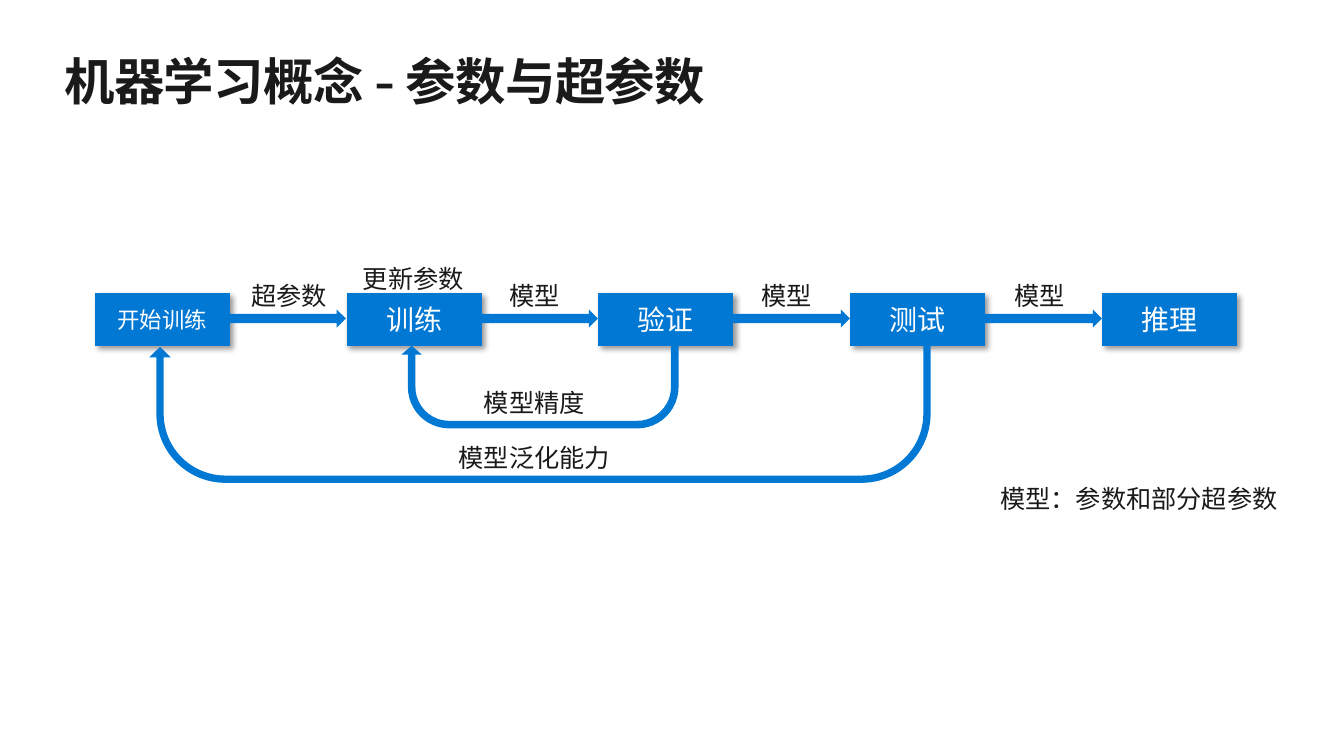
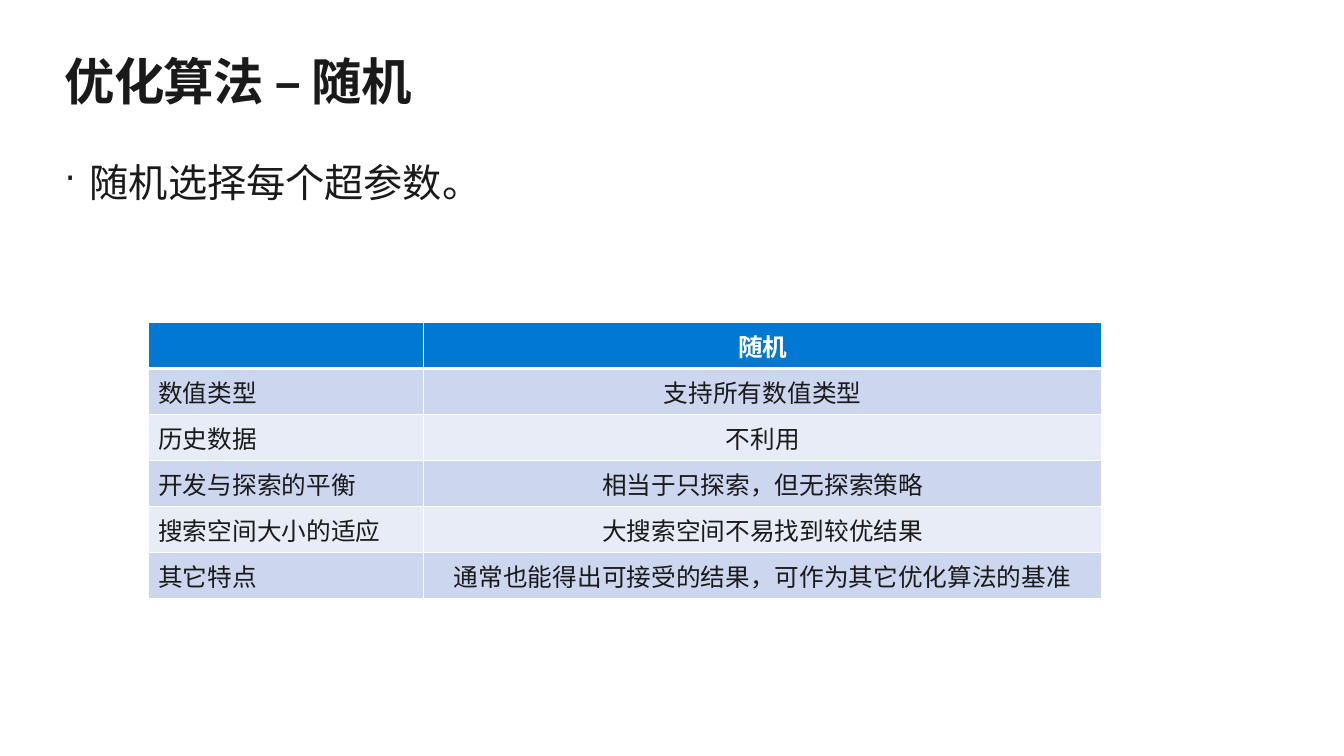
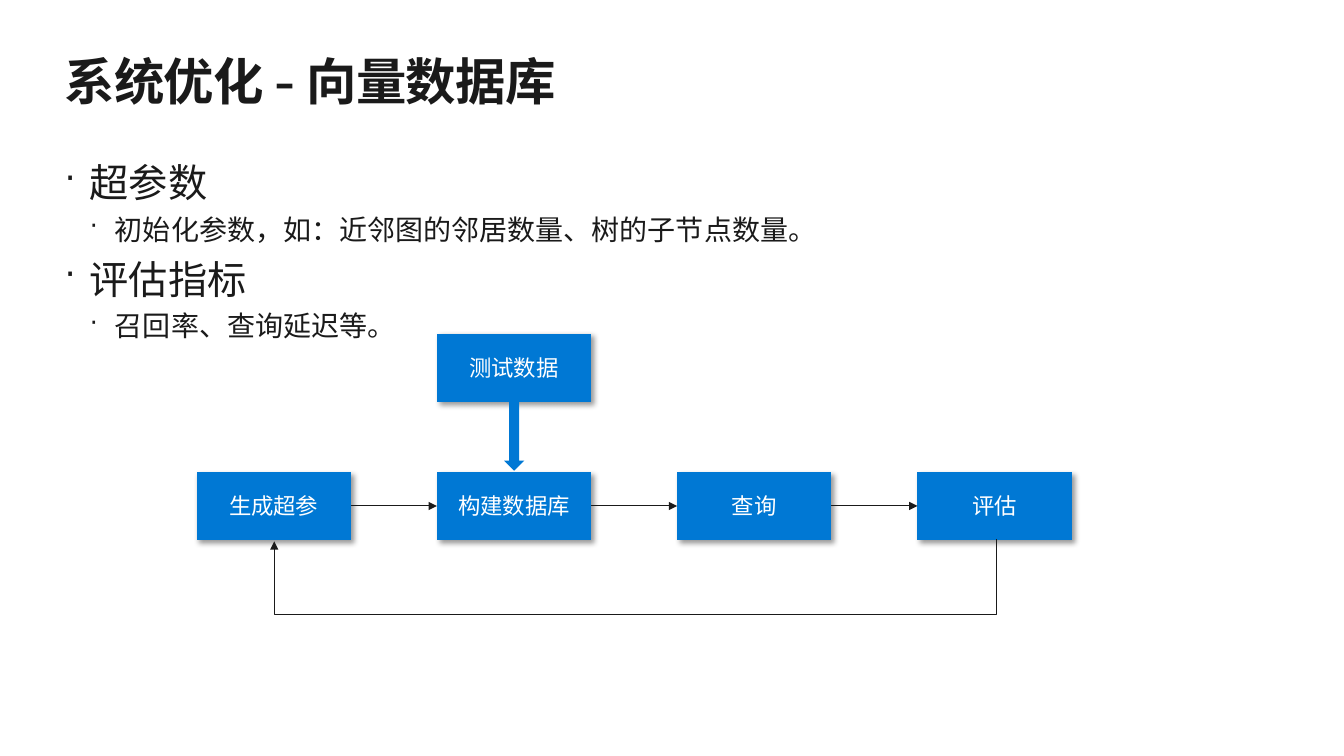
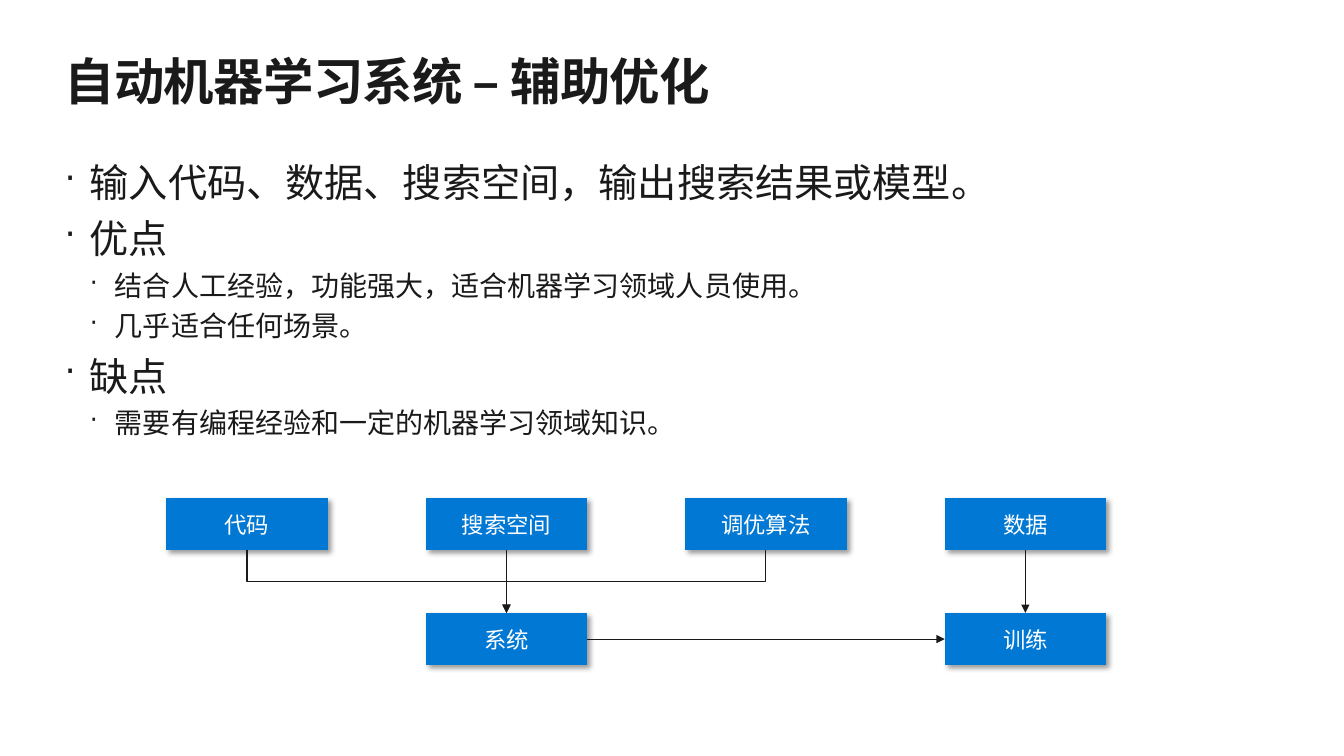
import pptx
import pptx.dml.color
import pptx.enum.lang
import pptx.enum.shapes
import pptx.enum.text
import pptx.oxml
import pptx.oxml.ns
import pptx.util
from pptx.util import Inches

SHAPE = pptx.enum.shapes.MSO_SHAPE
CONNECTOR = pptx.enum.shapes.MSO_CONNECTOR
ALIGN = pptx.enum.text.PP_ALIGN
ANCHOR = pptx.enum.text.MSO_ANCHOR

# Shared palette and type
FONT = "Cabin"
BLUE = "0078D4"
INK = "1A1A1A"
WHITE = "FFFFFF"
BANDS = ("CCD6EF", "E7ECF7")


def color(value):
    return pptx.dml.color.RGBColor.from_string(value)


def element(tag, content="", **attributes):
    """Make one drawing element, with optional markup inside it."""
    values = "".join(f' {name}="{value}"' for name, value in attributes.items())
    return pptx.oxml.parse_xml(
        f"<a:{tag} {pptx.oxml.ns.nsdecls('a')}{values}>{content}</a:{tag}>")


def spread(first, last, count):
    """Evenly spaced positions from first to last."""
    return [first + (last - first) * index / (count - 1) for index in range(count)]


def write(para, text, size=18, fill=INK, bold=False, align=None, before=0, tracking=None):
    """Put one formatted span of text in a paragraph."""
    para.alignment = align
    para.line_spacing = 1.0
    para.space_before = pptx.util.Pt(before)
    span = para.add_run()
    span.text = text
    span.font.name = FONT
    span.font.size = pptx.util.Pt(size)
    span.font.bold = bold
    span.font.color.rgb = color(fill)
    span.font.language_id = pptx.enum.lang.MSO_LANGUAGE_ID.SIMPLIFIED_CHINESE
    if tracking is not None:
        span.font._element.set("spc", str(round(tracking * 100)))


class Slides:
    def __init__(self):
        self.deck = pptx.Presentation()
        self.deck.slide_width = Inches(13.33)
        self.deck.slide_height = Inches(7.5)
        self.page = None

    def new_page(self, title):
        self.page = self.deck.slides.add_slide(self.deck.slide_layouts[6])
        frame = self.text_frame(0.64, 0.5, 12.05, 0.61)
        write(frame.paragraphs[0], title, size=36, bold=True, tracking=-0.5)

    def text_frame(self, left, top, width, height, wrap=True):
        box = self.page.shapes.add_textbox(
            Inches(left), Inches(top), Inches(width), Inches(height))
        frame = box.text_frame
        frame.word_wrap = wrap
        frame.margin_left = frame.margin_right = 0
        frame.margin_top = frame.margin_bottom = 0
        return frame

    def label(self, text, left, top, width):
        frame = self.text_frame(left, top, width, 0.3, wrap=False)
        write(frame.paragraphs[0], text)

    def bullets(self, items, height):
        """Each item is a (level, text) pair."""
        frame = self.text_frame(0.64, 1.57, 12.05, height)
        for index, (level, text) in enumerate(items):
            para = frame.add_paragraph() if index else frame.paragraphs[0]
            para.level = level
            props = para._p.get_or_add_pPr()
            props.set("marL", str(Inches(0.25 * (level + 1))))
            props.set("indent", str(Inches(-0.25)))
            props.append(element("buSzPct", val=90000))
            props.append(element("buChar", char="·"))
            size = 20 if level else 28
            write(para, text, size=size, before=size * 0.24 if index else 0)

    def block(self, kind, left, top, width, height, turn=0, adjust=()):
        """A flat blue preset shape."""
        shape = self.page.shapes.add_shape(
            kind, Inches(left), Inches(top), Inches(width), Inches(height))
        shape.shadow.inherit = False
        shape.fill.solid()
        shape.fill.fore_color.rgb = color(BLUE)
        shape.line.fill.background()
        shape.rotation = turn
        for index, value in enumerate(adjust):
            shape.adjustments[index] = value
        return shape

    def step(self, text, left, top, width, height, size=16):
        """A process box with a soft shadow."""
        shape = self.block(SHAPE.FLOWCHART_PROCESS, left, top, width, height)
        effects = shape._element.spPr.find(pptx.oxml.ns.qn("a:effectLst"))
        effects.append(element(
            "outerShdw",
            '<a:srgbClr val="000000"><a:alpha val="40000"/></a:srgbClr>',
            blurRad=pptx.util.Pt(4), dist=pptx.util.Pt(3), dir=45 * 60000,
            algn="tl", rotWithShape=0))
        frame = shape.text_frame
        frame.word_wrap = True
        frame.vertical_anchor = ANCHOR.MIDDLE
        frame.margin_left = frame.margin_right = Inches(0.1)
        frame.margin_top = frame.margin_bottom = Inches(0.1)
        write(frame.paragraphs[0], text, size=size, fill=WHITE, align=ALIGN.CENTER)

    def arrow(self, x1, y1, x2, y2, kind=CONNECTOR.STRAIGHT):
        line = self.page.shapes.add_connector(
            kind, Inches(x1), Inches(y1), Inches(x2), Inches(y2))
        line.line.color.rgb = color(INK)
        line.line.width = pptx.util.Pt(0.75)
        line.line._get_or_add_ln().append(element("tailEnd", type="triangle"))
        line._element.spPr.append(element("effectLst"))
        return line

    def bent_arrow(self, x1, y1, x2, y2, bend):
        """An elbow that leaves downwards and turns at height bend."""
        leftward = x2 < x1
        middle_x, middle_y = (x1 + x2) / 2, (y1 + y2) / 2
        rise = (y2 - y1) / 2 * (1 if leftward else -1)
        run = abs(x2 - x1) / 2
        line = self.arrow(middle_x - rise, middle_y - run,
                          middle_x + rise, middle_y + run, CONNECTOR.ELBOW)
        props = line._element.spPr
        props.xfrm.set("rot", str((90 if leftward else 270) * 60000))
        ratio = round((bend - y1) / (y2 - y1) * 100000)
        guides = props.find(".//" + pptx.oxml.ns.qn("a:avLst"))
        guides.append(element("gd", name="adj1", fmla=f"val {ratio}"))

    def table(self, rows, left, top, widths, row_height):
        grid = self.page.shapes.add_table(
            len(rows), len(widths), Inches(left), Inches(top),
            Inches(sum(widths)), Inches(row_height * len(rows))).table
        for column, width in zip(grid.columns, widths):
            column.width = Inches(width)
        for r, texts in enumerate(rows):
            grid.rows[r].height = Inches(row_height)
            for c, text in enumerate(texts):
                self.cell(grid.cell(r, c), text, r, c)

    def cell(self, cell, text, row, column):
        header = row == 0
        if text:
            write(cell.text_frame.paragraphs[0], text, size=17.6,
                  fill=WHITE if header else INK, bold=header,
                  align=ALIGN.CENTER if column else ALIGN.LEFT)
        cell.vertical_anchor = ANCHOR.TOP if header else ANCHOR.MIDDLE
        props = cell._tc.get_or_add_tcPr()
        for side in ("lnL", "lnR", "lnT", "lnB"):
            heavy = (header and side == "lnB") or (row == 1 and side == "lnT")
            props.append(element(
                side, f'<a:solidFill><a:srgbClr val="{WHITE}"/></a:solidFill>',
                w=pptx.util.Pt(3 if heavy else 1)))
        cell.fill.solid()
        cell.fill.fore_color.rgb = color(BLUE if header else BANDS[(row - 1) % 2])


def parameters_page(slides):
    slides.new_page("机器学习概念 - 参数与超参数")
    # Main flow
    stages = ("开始训练", "训练", "验证", "测试", "推理")
    for index, left in enumerate(spread(0.94, 10.93, len(stages))):
        slides.step(stages[index], left, 2.91, 1.34, 0.52, 20 if index else 16)
    for left in spread(2.27, 9.77, len(stages) - 1):
        slides.block(SHAPE.RIGHT_ARROW, left, 3.07, 1.16, 0.18)
    # Feedback loops
    slides.block(SHAPE.U_TURN_ARROW, 3.98, 3.43, 2.75, 0.82, 180,
                 (0.092, 0.125, 0.108, 0.5, 1))
    slides.block(SHAPE.U_TURN_ARROW, 1.48, 3.42, 7.75, 1.37, 180,
                 (0.053, 0.078, 0.076, 0.5, 0.985))
    # Labels
    for left in spread(5.05, 10.06, 3):
        slides.label("模型", left, 2.78, 0.5)
    for text, left, top, width in (
            ("超参数", 2.49, 2.78, 0.76),
            ("更新参数", 3.6, 2.61, 1.01),
            ("模型精度", 4.8, 3.84, 1.01),
            ("模型泛化能力", 4.55, 4.39, 1.51),
            ("模型：参数和部分超参数", 9.92, 4.79, 2.78)):
        slides.label(text, left, top, width)


def random_page(slides):
    slides.new_page("优化算法 – 随机")
    slides.bullets([(0, "随机选择每个超参数。")], 0.47)
    slides.table((
        ("", "随机"),
        ("数值类型", "支持所有数值类型"),
        ("历史数据", "不利用"),
        ("开发与探索的平衡", "相当于只探索，但无探索策略"),
        ("搜索空间大小的适应", "大搜索空间不易找到较优结果"),
        ("其它特点", "通常也能得出可接受的结果，可作为其它优化算法的基准"),
    ), 1.47, 3.2, (2.73, 6.73), 2.74 / 6)


def database_page(slides):
    slides.new_page("系统优化 - 向量数据库")
    slides.bullets([
        (0, "超参数"),
        (1, "初始化参数，如：近邻图的邻居数量、树的子节点数量。"),
        (0, "评估指标"),
        (1, "召回率、查询延迟等。"),
    ], 1.84)
    # Pipeline
    width, height, top = 1.53, 0.68, 4.68
    lefts = spread(1.95, 9.1, 4)
    slides.step("测试数据", lefts[1], 3.31, width, height)
    for left, name in zip(lefts, ("生成超参", "构建数据库", "查询", "评估")):
        slides.step(name, left, top, width, height)
    slides.block(SHAPE.DOWN_ARROW, 5, 3.99, 0.2, height)
    for left, following in zip(lefts, lefts[1:]):
        slides.arrow(left + width, 5.02, following, 5.02)
    slides.bent_arrow(9.88, 5.35, 2.72, 5.37, bend=6.09)


def assisted_page(slides):
    slides.new_page("自动机器学习系统 – 辅助优化")
    slides.bullets([
        (0, "输入代码、数据、搜索空间，输出搜索结果或模型。"),
        (0, "优点"),
        (1, "结合人工经验，功能强大，适合机器学习领域人员使用。"),
        (1, "几乎适合任何场景。"),
        (0, "缺点"),
        (1, "需要有编程经验和一定的机器学习领域知识。"),
    ], 2.81)
    # Inputs above, system and training below
    width, height, upper, lower = 1.6, 0.52, 4.94, 6.08
    lefts = spread(1.65, 9.37, 4)
    centers = [left + width / 2 for left in lefts]
    for left, name in zip(lefts, ("代码", "搜索空间", "调优算法", "数据")):
        slides.step(name, left, upper, width, height)
    for index, name in ((1, "系统"), (3, "训练")):
        slides.step(name, lefts[index], lower, width, height)
        slides.arrow(centers[index], upper + height, centers[index], lower)
    for index in (0, 2):
        slides.bent_arrow(centers[index], upper + height, centers[1], lower, bend=5.77)
    middle = lower + height / 2
    slides.arrow(lefts[1] + width, middle, lefts[3], middle)


def main():
    slides = Slides()
    for build in (parameters_page, random_page, database_page, assisted_page):
        build(slides)
    slides.deck.save("out.pptx")


if __name__ == "__main__":
    main()
